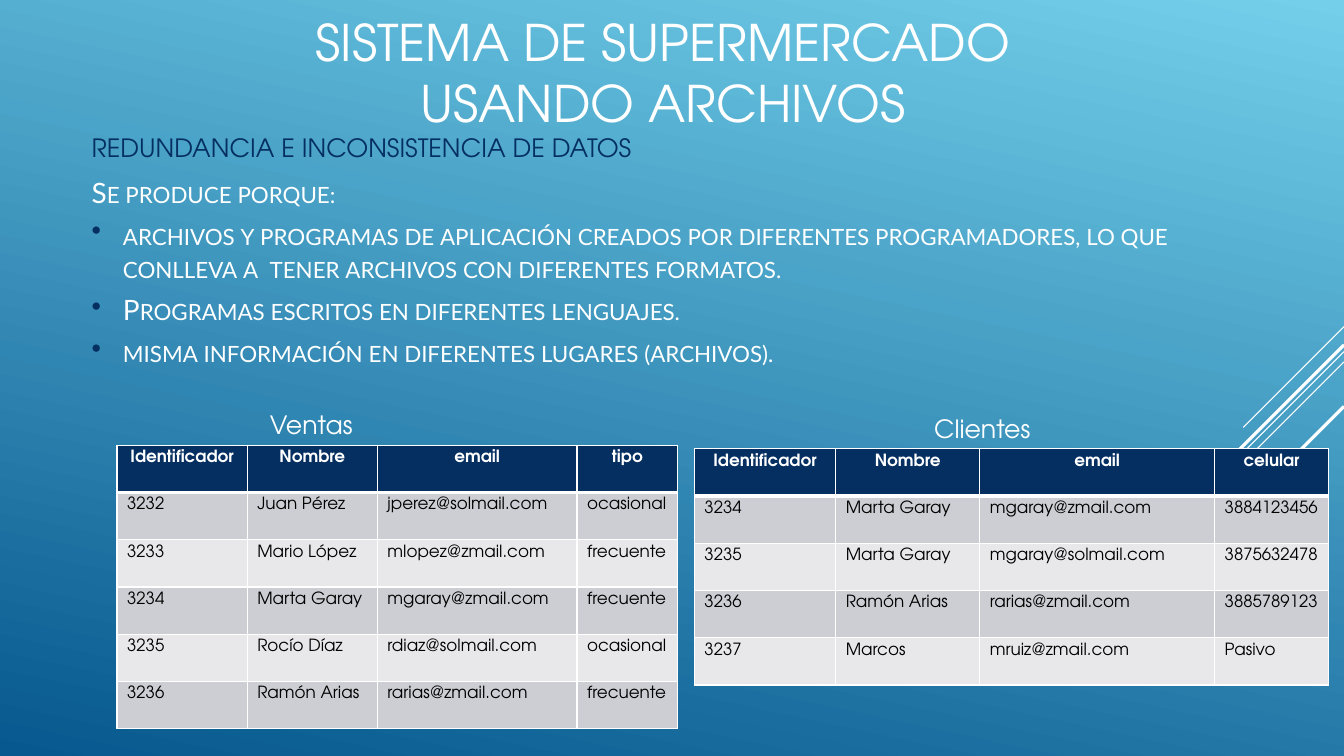
from lxml.etree import SubElement
from pptx import Presentation
from pptx.dml.color import RGBColor
from pptx.enum.shapes import MSO_CONNECTOR
from pptx.enum.text import MSO_ANCHOR, MSO_AUTO_SIZE, PP_ALIGN
from pptx.oxml import parse_xml
from pptx.oxml.ns import nsdecls, qn
from pptx.util import Cm, Pt

# Content
TITLE = "SISTEMA DE SUPERMERCADO\vUSANDO ARCHIVOS"
SUBTITLE = "REDUNDANCIA E INCONSISTENCIA DE DATOS"
INTRO = "Se produce porque:"
CAUSES = [
    "archivos y programas de aplicación creados por diferentes programadores, "
    "lo que conlleva a  tener archivos con diferentes formatos.",
    "Programas escritos en diferentes lenguajes.",
    "misma información en diferentes lugares (archivos).",
]
SALES = [
    ("Identificador", "Nombre", "email", "tipo"),
    ("3232", "Juan Pérez", "jperez@solmail.com", "ocasional"),
    ("3233", "Mario López", "mlopez@zmail.com", "frecuente"),
    ("3234", "Marta Garay", "mgaray@zmail.com", "frecuente"),
    ("3235", "Rocío Díaz", "rdiaz@solmail.com", "ocasional"),
    ("3236", "Ramón Arias", "rarias@zmail.com", "frecuente"),
]
CLIENTS = [
    ("Identificador", "Nombre", "email", "celular"),
    ("3234", "Marta Garay", "mgaray@zmail.com", "3884123456"),
    ("3235", "Marta Garay", "mgaray@solmail.com", "3875632478"),
    ("3236", "Ramón Arias", "rarias@zmail.com", "3885789123"),
    ("3237", "Marcos", "mruiz@zmail.com", "Pasivo"),
]
# Caption, its box (left, top, width), table left and top, column widths, rows
TABLES = [
    ("Ventas", (6.55, 10.19, 2.67), 2.95, 11.22, (3.28, 3.28, 5.03, 2.54), SALES),
    ("Clientes", (23.29, 10.29, 3), 17.5, 11.31, (3.56, 3.63, 5.92, 2.87), CLIENTS),
]
# Diagonals from the right edge: top, horizontal reach, line width
DIAGONALS = [
    (8.23, 2.54, 0.75),
    (8.86, 8.28, 0.75),
    (9.12, 5.27, 0.75),
    (8.69, 4.85, 2.25),
    (10.24, 3.53, 2.25),
]

# Style
WHITE = RGBColor(0xFF, 0xFF, 0xFF)
BLACK = RGBColor(0x00, 0x00, 0x00)
NAVY = RGBColor(0x05, 0x2F, 0x61)
SKY = RGBColor(0x73, 0xCF, 0xEA)
DEEP_BLUE = RGBColor(0x06, 0x58, 0x8E)
BANDS = [RGBColor(0xE8, 0xE8, 0xEA), RGBColor(0xCD, 0xCE, 0xD3)]
HEADING_FONT = "TeX Gyre Adventor"
BODY_FONT = "Lato"
SLIDE_WIDTH, SLIDE_HEIGHT = 33.87, 19.05
ROW_HEIGHT = 1.19
CAPTION_HEIGHT = 1.02


def set_font(paragraph, size, color, name=HEADING_FONT, bold=False):
    font = paragraph.font
    font.name, font.size, font.bold = name, Pt(size), bold
    font.color.rgb = color


def add_label(text, left, top, width, color):
    box = slide.shapes.add_textbox(Cm(left), Cm(top), Cm(width), Cm(CAPTION_HEIGHT))
    box.text_frame.word_wrap = False
    paragraph = box.text_frame.paragraphs[0]
    paragraph.text = text
    set_font(paragraph, 18, color)


def add_bullet(paragraph):
    properties = paragraph._p.get_or_add_pPr()
    properties.set("marL", str(Cm(0.79)))
    properties.set("indent", str(-Cm(0.79)))
    font_defaults = properties.find(qn("a:defRPr"))
    for xml in (
        f'<a:buClr {nsdecls("a")}><a:srgbClr val="{NAVY}"/></a:buClr>',
        f'<a:buChar {nsdecls("a")} char="•"/>',
    ):
        font_defaults.addprevious(parse_xml(xml))


def add_borders(cell, row):
    widths = {"L": 1, "R": 1, "T": 3 if row == 1 else 1, "B": 3 if row == 0 else 1}
    for side, width in widths.items():
        line = SubElement(cell._tc.get_or_add_tcPr(), qn(f"a:ln{side}"), w=str(Pt(width)))
        fill = SubElement(line, qn("a:solidFill"))
        SubElement(fill, qn("a:srgbClr"), val=str(WHITE))


def add_data_table(left, top, widths, rows):
    frame = slide.shapes.add_table(
        len(rows), len(widths), Cm(left), Cm(top),
        Cm(sum(widths)), Cm(ROW_HEIGHT * len(rows)),
    )
    table = frame.table
    for column, width in zip(table.columns, widths):
        column.width = Cm(width)
    for r, values in enumerate(rows):
        table.rows[r].height = Cm(ROW_HEIGHT)
        header = r == 0
        for c, value in enumerate(values):
            cell = table.cell(r, c)
            cell.text = value
            paragraph = cell.text_frame.paragraphs[0]
            paragraph.alignment = PP_ALIGN.CENTER if header else PP_ALIGN.LEFT
            set_font(paragraph, 12, WHITE if header else BLACK, bold=header)
            add_borders(cell, r)
            cell.fill.solid()
            cell.fill.fore_color.rgb = NAVY if header else BANDS[r % 2]


# Slide and gradient background
presentation = Presentation()
presentation.slide_width, presentation.slide_height = Cm(SLIDE_WIDTH), Cm(SLIDE_HEIGHT)
slide = presentation.slides.add_slide(presentation.slide_layouts[5])
background = slide.background.fill
background.gradient()
background.gradient_angle = 258
for stop, color in zip(background.gradient_stops, (SKY, DEEP_BLUE)):
    stop.color.rgb = color

# Diagonal lines at 45 degrees
for top, reach, width in DIAGONALS:
    diagonal = slide.shapes.add_connector(
        MSO_CONNECTOR.STRAIGHT, Cm(SLIDE_WIDTH), Cm(top),
        Cm(SLIDE_WIDTH - reach), Cm(top + reach),
    )
    diagonal.line.color.rgb = WHITE
    diagonal.line.width = Pt(width)
    SubElement(diagonal._element.spPr, qn("a:effectLst"))

# Title and subtitle
title = slide.shapes.title
title.left, title.top, title.width, title.height = Cm(2.95), Cm(0.15), Cm(27.51), Cm(3.33)
title.text_frame.text = TITLE
title.text_frame.auto_size = MSO_AUTO_SIZE.NONE
title.text_frame.vertical_anchor = MSO_ANCHOR.MIDDLE
title_paragraph = title.text_frame.paragraphs[0]
title_paragraph.alignment = PP_ALIGN.CENTER
set_font(title_paragraph, 36, WHITE)
add_label(SUBTITLE, 2.06, 3.2, 14.38, NAVY)

# Causes in small capitals
causes_box = slide.shapes.add_textbox(Cm(2.06), Cm(4.29), Cm(29.31), Cm(5.66))
causes_frame = causes_box.text_frame
causes_frame.word_wrap = True
causes_frame.text = "\n".join([INTRO, *CAUSES])
for index, paragraph in enumerate(causes_frame.paragraphs):
    paragraph.space_after = Pt(6)
    set_font(paragraph, 20, WHITE, BODY_FONT)
    paragraph.runs[0]._r.get_or_add_rPr().set("cap", "small")
    if index > 0:
        add_bullet(paragraph)

# Captioned tables
for caption, caption_box, left, top, widths, rows in TABLES:
    add_data_table(left, top, widths, rows)
    add_label(caption, *caption_box, WHITE)

presentation.save("out.pptx")
